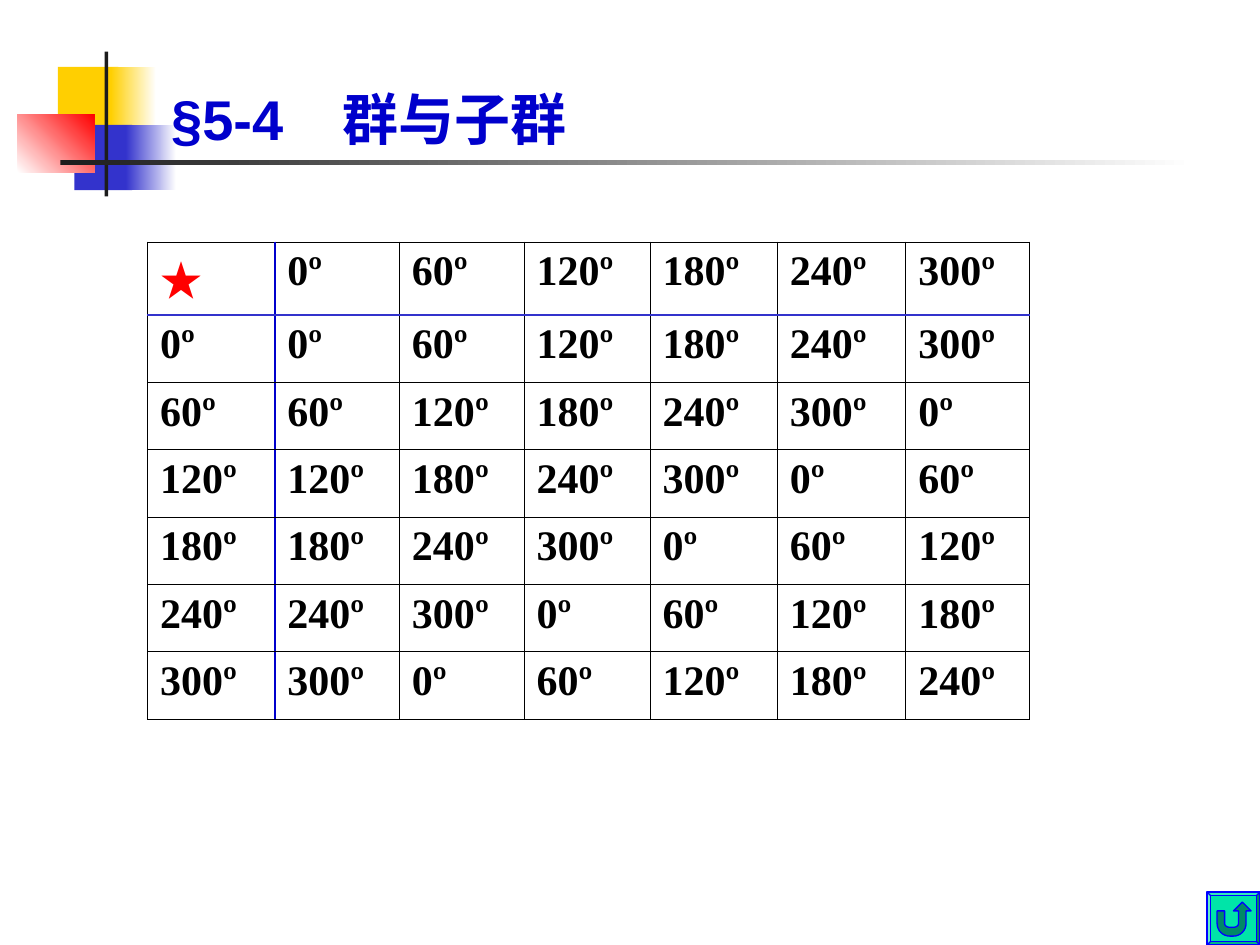
"""Build the slide on groups and subgroups with the rotation composition table."""
from math import cos, radians, sin

from lxml import etree
from pptx import Presentation
from pptx.dml.color import RGBColor
from pptx.enum import shapes, text
from pptx.oxml.ns import qn
from pptx.util import Inches, Pt

TITLE = "§5-4\t群与子群"
TITLE_PLACE = (1.26, 0, 8.52, 1.25)
TITLE_TAB = 1.36
OPERATION = "★"
ANGLES = [0, 60, 120, 180, 240, 300]
COLUMN_WIDTHS = [1.01, 0.99, 0.99, 1, 1.01, 1.02, 0.98]
TABLE_LEFT, TABLE_TOP = 1.17, 1.92
HEAD_HEIGHT, ROW_HEIGHT = 0.58, 0.535
THEME = {
    "yellow": "FFCF01", "blue": "3333CC", "red": "FF0000", "dark": "1C1C1C",
    "white": "FFFFFF", "black": "000000", "title": "0000CC",
    "button": "00E4A8", "arrow": "008966", "outline": "0000FF",
    "title_size": 32, "table_size": 24,
    "title_font": "Arial", "table_font": "Times New Roman",
    "cjk_font": "Noto Sans CJK SC",
    "thin": 0.45, "rule": 1.08, "edge": 0.75,
}
DECORATIONS = [
    ((0.46, 0.53, 0.48, 0.52), ["yellow"], 0),
    ((0.88, 0.53, 0.36, 0.52), ["yellow", "white"], 0),
    ((0.59, 0.99, 0.46, 0.52), ["blue"], 0),
    ((1, 0.99, 0.4, 0.52), ["blue", "white"], 0),
    ((0.14, 0.91, 0.61, 0.46), ["white", "red"], 45),
    ((0.83, 0.41, 0.03, 1.15), ["dark"], 0),
    ((0.48, 1.27, 9, 0.04), ["dark", "white"], 0),
]
BUTTON = (9.58, 7.08, 0.42, 0.42)
BEVEL_DEPTH = 0.07


def color(name):
    return RGBColor.from_string(THEME[name])


def paint(shape, colors, angle=0, line=None):
    shape.shadow.inherit = False
    if len(colors) == 1:
        shape.fill.solid()
        shape.fill.fore_color.rgb = color(colors[0])
    else:
        shape.fill.gradient()
        shape.fill.gradient_angle = angle
        for stop, name in zip(shape.fill.gradient_stops, colors):
            stop.color.rgb = color(name)
    if line:
        shape.line.color.rgb = color(line)
        shape.line.width = Pt(THEME["edge"])
    else:
        shape.line.fill.background()


def write(frame, content, *, size, font, ink="black", tab=None):
    para = frame.paragraphs[0]
    if tab:
        stops = etree.SubElement(para._p.get_or_add_pPr(), qn("a:tabLst"))
        etree.SubElement(stops, qn("a:tab"), pos=str(Inches(tab)), algn="l")
    span = para.add_run()
    span.text = content
    span.font.size = Pt(THEME[size])
    span.font.name = THEME[font]
    span.font.bold = True
    span.font.color.rgb = color(ink)
    etree.SubElement(span._r.get_or_add_rPr(), qn("a:ea"), typeface=THEME["cjk_font"])


def add_title(page):
    box = page.shapes.add_textbox(*map(Inches, TITLE_PLACE))
    box.text_frame.word_wrap = True
    box.text_frame.vertical_anchor = text.MSO_ANCHOR.BOTTOM
    write(box.text_frame, TITLE, size="title_size", font="title_font",
          ink="title", tab=TITLE_TAB)


def set_border(cell, side, name, width):
    line = etree.SubElement(cell._tc.get_or_add_tcPr(), qn(f"a:ln{side}"), w=str(Pt(width)))
    fill = etree.SubElement(line, qn("a:solidFill"))
    etree.SubElement(fill, qn("a:srgbClr"), val=THEME[name])


def add_composition_table(page):
    labels = [f"{angle}º" for angle in ANGLES]
    rows = [[OPERATION] + labels]
    for first, label in zip(ANGLES, labels):
        rows.append([label] + [f"{(first + second) % 360}º" for second in ANGLES])
    frame = page.shapes.add_table(
        len(rows), len(rows[0]), Inches(TABLE_LEFT), Inches(TABLE_TOP),
        Inches(sum(COLUMN_WIDTHS)), Inches(HEAD_HEIGHT + ROW_HEIGHT * len(ANGLES)))
    table = frame.table
    table.first_row = table.horz_banding = False
    for column, width in zip(table.columns, COLUMN_WIDTHS):
        column.width = Inches(width)
    for i, row in enumerate(rows):
        table.rows[i].height = Inches(ROW_HEIGHT if i else HEAD_HEIGHT)
        for j, content in enumerate(row):
            cell = table.cell(i, j)
            rules = {"L": (j == 1, "title"), "R": (j == 0, "title"),
                     "T": (i == 1, "blue"), "B": (i == 0, "blue")}
            for side, (strong, name) in rules.items():
                set_border(cell, side, name if strong else "black",
                           THEME["rule" if strong else "thin"])
            cell.fill.background()
            corner = i == j == 0
            write(cell.text_frame, content, size="table_size",
                  font="cjk_font" if corner else "table_font",
                  ink="red" if corner else "black")


def arc(x, y, radius_x, radius_y, start, end, steps=8):
    turns = [radians(start + (end - start) * k / steps) for k in range(steps + 1)]
    return [(x + radius_x * cos(t), y + radius_y * sin(t)) for t in turns]


def add_return_button(page):
    button = page.shapes.add_shape(shapes.MSO_SHAPE.BEVEL, *map(Inches, BUTTON))
    button.adjustments[0] = BEVEL_DEPTH
    paint(button, ["button"], line="outline")
    points = [(9.66, 7.23), (9.72, 7.23)]
    points += arc(9.76, 7.33, 0.04, 0.03, 180, 90) + arc(9.79, 7.33, 0.04, 0.03, 90, 0)
    points += [(9.83, 7.23), (9.79, 7.23), (9.86, 7.16), (9.93, 7.23), (9.89, 7.23)]
    points += arc(9.79, 7.33, 0.1, 0.1, 0, 90) + arc(9.76, 7.33, 0.1, 0.1, 90, 180)
    points = [(Inches(x), Inches(y)) for x, y in points]
    builder = page.shapes.build_freeform(*points[0])
    builder.add_line_segments(points[1:], close=True)
    paint(builder.convert_to_shape(), ["arrow"], line="outline")


def main():
    deck = Presentation()
    deck.slide_width, deck.slide_height = Inches(10), Inches(7.5)
    page = deck.slides.add_slide(deck.slide_layouts[6])
    for place, colors, angle in DECORATIONS:
        block = page.shapes.add_shape(shapes.MSO_SHAPE.RECTANGLE, *map(Inches, place))
        paint(block, colors, angle)
    add_title(page)
    add_composition_table(page)
    add_return_button(page)
    deck.save("out.pptx")


if __name__ == "__main__":
    main()
